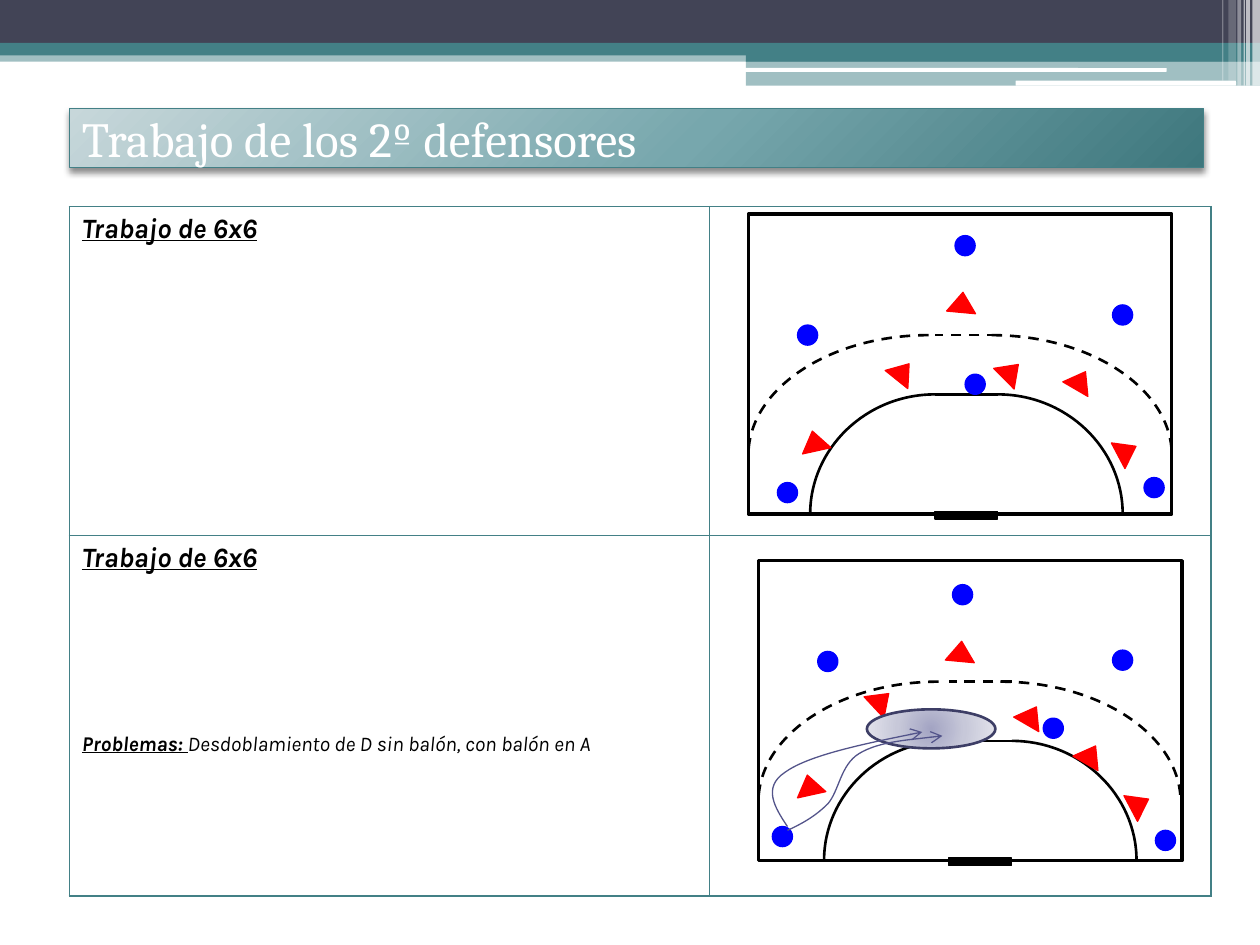
from lxml import etree
from pptx import Presentation
from pptx.dml.color import RGBColor
from pptx.enum.dml import MSO_LINE
from pptx.enum.shapes import MSO_CONNECTOR, MSO_SHAPE
from pptx.enum.text import MSO_ANCHOR, PP_ALIGN
from pptx.oxml import parse_xml
from pptx.oxml.ns import nsdecls, qn
from pptx.util import Cm, Pt

RECT, ROUND = MSO_SHAPE.RECTANGLE, MSO_SHAPE.ROUNDED_RECTANGLE
OVAL, TRIANGLE = MSO_SHAPE.OVAL, MSO_SHAPE.ISOSCELES_TRIANGLE
DASH = MSO_LINE.DASH
C = {"navy": "424456", "teal": "438086", "white": "FFFFFF", "black": "000000",
     "attack": "0000FF", "defend": "FF0000", "zone": "3D3E66", "run": "53548A"}
TITLE = "Trabajo de los 2º defensores"
HEADING = "Trabajo de 6x6"
PROBLEM = ("Problemas: ", "Desdoblamiento de D sin balón, con balón en A")
TITLE_STOPS = [(0, "C7D7DA"), (55, "77A7AD"), (100, "3E777D")]
ZONE_STOPS = [(0, "A3A4C3"), (50, "C7C8D9"), (100, "E4E4EC")]

# Positions are in inches: kind, left, top, width, height, colour, opacity
BANDS = [
    (RECT, 0, 0.4, 10, 0.09, "teal", 50), (RECT, 0, 0, 10, 0.34, "navy", 100),
    (RECT, 0, 0.34, 10, 0.1, "teal", 100), (RECT, 5.92, 0.39, 4.08, 0.1, "teal", 100),
    (RECT, 5.92, 0.48, 4.08, 0.2, "teal", 50),
    (ROUND, 5.91, 0.54, 3.35, 0.03, "white", 100),
    (ROUND, 8.06, 0.64, 1.75, 0.04, "white", 100)]
STRIPES = [(9.94, 0.06, 0.68, 65), (9.89, 0.03, 0.68, 65), (9.87, 0.01, 0.68, 60),
           (9.82, 0.03, 0.68, 40), (9.75, 0.06, 0.64, 20), (9.7, 0.01, 0.64, 30)]
# Attackers: left, top. Defenders: left, top, rotation
DRILLS = [
    {"court": (5.94, 1.7), "goal": 7.42, "outer": (7.37, 7.87),
     "attack": [(8.83, 2.42), (7.66, 2.97), (6.33, 2.58), (6.17, 3.83), (7.58, 1.87),
                (9.08, 3.79)],
     "defend": [(7.91, 2.87, 45.4), (8.46, 2.94, 30.2), (7.05, 2.87, 38.7),
                (6.35, 3.42, -12.5), (7.52, 2.32, 5.3), (8.83, 3.5, 62.1)]},
    {"court": (6.02, 4.45), "goal": 7.53, "outer": (7.45, 7.94),
     "attack": [(8.83, 5.16), (8.28, 5.7), (6.49, 5.17), (6.13, 6.56), (7.56, 4.64),
                (9.17, 6.59)],
     "defend": [(8.07, 5.6, 30.2), (8.54, 5.91, 30.2), (6.88, 5.48, 46.9),
                (6.31, 6.15, -12.5), (7.51, 5.09, 5.3), (8.93, 6.3, 62.1)]}]
RUNS = [
    [(6.25, 6.56), (6.15, 6.41), (6.05, 6.25), (6.23, 6.13), (6.41, 6), (6.87, 5.9),
     (7.32, 5.81)],
    [(6.25, 6.59), (6.36, 6.54), (6.47, 6.48), (6.57, 6.38), (6.66, 6.28), (6.67, 6.07),
     (6.82, 5.98), (6.97, 5.89), (7.23, 5.87), (7.48, 5.84)]]


def cm(inches):
    """Turn inches into a Cm length."""
    return Cm(inches * 2.54)


def rgb(name):
    """Look up a palette colour."""
    return RGBColor.from_string(C[name])


def set_line(sp, color, width, dash=None):
    """Format an outline."""
    sp.line.color.rgb = rgb(color)
    sp.line.width = Pt(width)
    if dash:
        sp.line.dash_style = dash


def add_shape(kind, x, y, w, h, fill, line=None, width=0.75, opacity=100, rot=0):
    """Add a preset shape with a plain fill."""
    sp = s.shapes.add_shape(kind, cm(x), cm(y), cm(w), cm(h))
    sp.shadow.inherit = False
    sp.rotation = rot
    sp.fill.solid()
    sp.fill.fore_color.rgb = rgb(fill)
    if opacity < 100:
        clr = sp._element.spPr.find(qn("a:solidFill"))[0]
        etree.SubElement(clr, qn("a:alpha")).set("val", str(opacity * 1000))
    if line:
        set_line(sp, line, width)
    else:
        sp.line.fill.background()
    return sp


def radial_fill(sp, stops, left, top, right, bottom):
    """Replace the solid fill by a circular gradient."""
    gs = "".join(f'<a:gs pos="{pos * 1000}"><a:srgbClr val="{c}"/></a:gs>' for pos, c in stops)
    grad = parse_xml(
        f'<a:gradFill {nsdecls("a")} rotWithShape="1"><a:gsLst>{gs}</a:gsLst><a:path path="circle">'
        f'<a:fillToRect l="{left * 1000}" t="{top * 1000}" r="{right * 1000}" '
        f'b="{bottom * 1000}"/></a:path></a:gradFill>')
    sp.fill.solid()
    solid = sp._element.spPr.find(qn("a:solidFill"))
    solid.getparent().replace(solid, grad)


def add_segment(x1, x2, y, dash=None):
    """Add a level court line."""
    ln = s.shapes.add_connector(MSO_CONNECTOR.STRAIGHT, cm(x1), cm(y), cm(x2), cm(y))
    set_line(ln, "black", 1.5, dash)
    etree.SubElement(ln._element.spPr, qn("a:effectLst"))


def add_curve(pts, color, width, dash=None, arrow=False):
    """Draw chained cubic curves as one open outline."""
    emu = [(cm(x), cm(y)) for x, y in pts]
    fb = s.shapes.build_freeform(*emu[0])
    fb.add_line_segments(emu[1:], close=False)
    sp = fb.convert_to_shape()
    outline = next(sp._element.iter(qn("a:lnTo"))).getparent()
    corners = outline.findall(qn("a:lnTo"))
    for i in range(0, len(corners), 3):
        bezier = etree.SubElement(outline, qn("a:cubicBezTo"))
        for corner in corners[i:i + 3]:
            bezier.append(corner[0])
            outline.remove(corner)
    sp.shadow.inherit = False
    sp.fill.background()
    set_line(sp, color, width, dash)
    if arrow:
        ln = sp._element.spPr.find(qn("a:ln"))
        etree.SubElement(ln, qn("a:tailEnd")).set("type", "arrow")


def add_quarter(x, y, rx, ry, dash=None):
    """Draw a quarter ellipse from its top; negative rx bends left."""
    k = 0.55
    add_curve([(x, y), (x + k * rx, y), (x + rx, y + (1 - k) * ry), (x + rx, y + ry)],
              "black", 1.5, dash)


def add_drill(court, goal, outer, attack, defend):
    """Draw a half court with its players."""
    x, y = court
    add_shape(RECT, x, y, 3.36, 2.38, "white", "black", 2)
    for side, inner_x, outer_x in ((-1, goal, outer[0]), (1, goal + 0.5, outer[1])):
        add_quarter(inner_x, y + 1.43, side * 0.99, 0.95)
        add_quarter(outer_x, y + 0.96, side * 1.43, 0.95, DASH)
    add_segment(goal + 0.5, goal, y + 1.43)
    add_segment(goal + 0.5, goal, y + 0.96, DASH)
    add_shape(RECT, goal, y + 2.36, 0.5, 0.06, "black", "black")
    for left, top in attack:
        add_shape(OVAL, left, top, 0.16, 0.16, "attack", "attack")
    for left, top, rot in defend:
        add_shape(TRIANGLE, left, top, 0.23, 0.16, "defend", "defend", rot=rot)


def add_text(p, text, size, font="Karla", color="black", **style):
    """Add a formatted run to a paragraph."""
    r = p.add_run()
    r.text = text
    r.font.size, r.font.name = Pt(size), font
    r.font.color.rgb = rgb(color)
    for name, value in style.items():
        setattr(r.font, name, value)


def add_exercise_table():
    """Add the two-row table with its texts and borders."""
    tbl = s.shapes.add_table(2, 2, cm(0.55), cm(1.64), cm(9.06), cm(5.47)).table
    tbl.first_row = tbl.horz_banding = False
    for col, w in zip(tbl.columns, (5.08, 3.98)):
        col.width = cm(w)
    for row, h in zip(tbl.rows, (2.61, 2.86)):
        row.height = cm(h)
    for cell in tbl.iter_cells():
        tcPr = cell._tc.get_or_add_tcPr()
        for tag in ("lnL", "lnR", "lnT", "lnB"):
            tcPr.append(parse_xml(
                f'<a:{tag} {nsdecls("a")} w="12700"><a:solidFill><a:srgbClr val="{C["teal"]}"/>'
                f'</a:solidFill></a:{tag}>'))
        cell.fill.background()
    for row in range(2):
        p = tbl.cell(row, 0).text_frame.paragraphs[0]
        p.space_before = Pt(3.2)
        add_text(p, HEADING, 16, bold=True, italic=True, underline=True)
    p = tbl.cell(1, 0).text_frame.add_paragraph()
    p.space_before = Pt(90)
    add_text(p, PROBLEM[0], 12, bold=True, italic=True, underline=True)
    add_text(p, PROBLEM[1], 12, bold=False, italic=True)


def format_title():
    """Place and format the title bar."""
    sp = s.shapes.title
    sp.left, sp.top, sp.width, sp.height = cm(0.55), cm(0.86), cm(9), cm(0.47)
    radial_fill(sp, TITLE_STOPS, -40, -90, 140, 190)
    set_line(sp, "teal", 0.75)
    sp._element.spPr.append(parse_xml(
        f'<a:effectLst {nsdecls("a")}><a:outerShdw blurRad="50800" dist="25400" dir="5400000">'
        '<a:srgbClr val="000000"><a:alpha val="45000"/></a:srgbClr></a:outerShdw></a:effectLst>'))
    tf = sp.text_frame
    tf.word_wrap, tf.vertical_anchor = True, MSO_ANCHOR.MIDDLE
    p = tf.paragraphs[0]
    p.alignment = PP_ALIGN.LEFT
    add_text(p, TITLE, 28, "Cambria", "white")


prs = Presentation()
prs.slide_width, prs.slide_height = cm(10), cm(7.5)
s = prs.slides.add_slide(prs.slide_layouts[5])
for kind, x, y, w, h, color, opacity in BANDS:
    add_shape(kind, x, y, w, h, color, opacity=opacity)
for x, w, h, opacity in STRIPES:
    add_shape(RECT, x, 0, w, h, "white", opacity=opacity)
format_title()
add_exercise_table()
for drill in DRILLS:
    add_drill(**drill)
zone = add_shape(OVAL, 6.88, 5.63, 1.02, 0.31, "white", "zone", 1.5)
radial_fill(zone, ZONE_STOPS, 50, 50, 50, 50)
for run in RUNS:
    add_curve(run, "run", 0.75, arrow=True)
prs.save("out.pptx")
